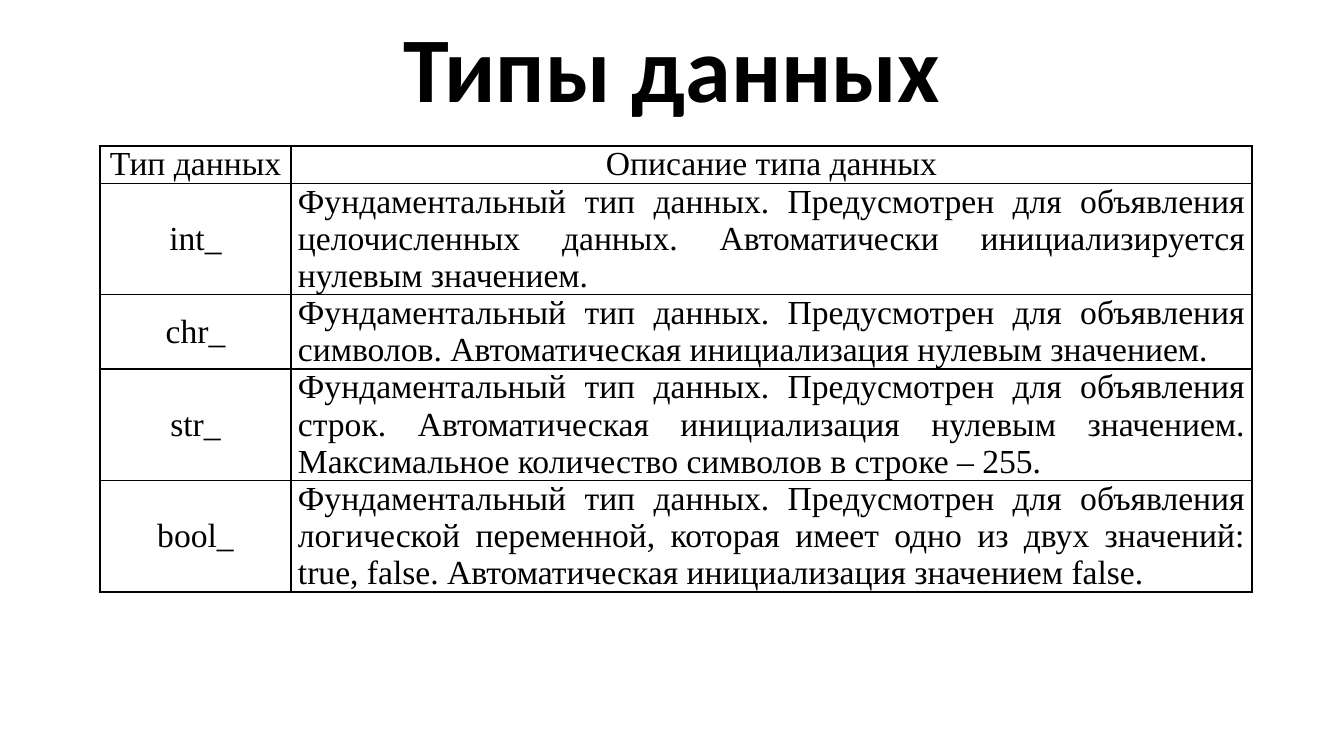
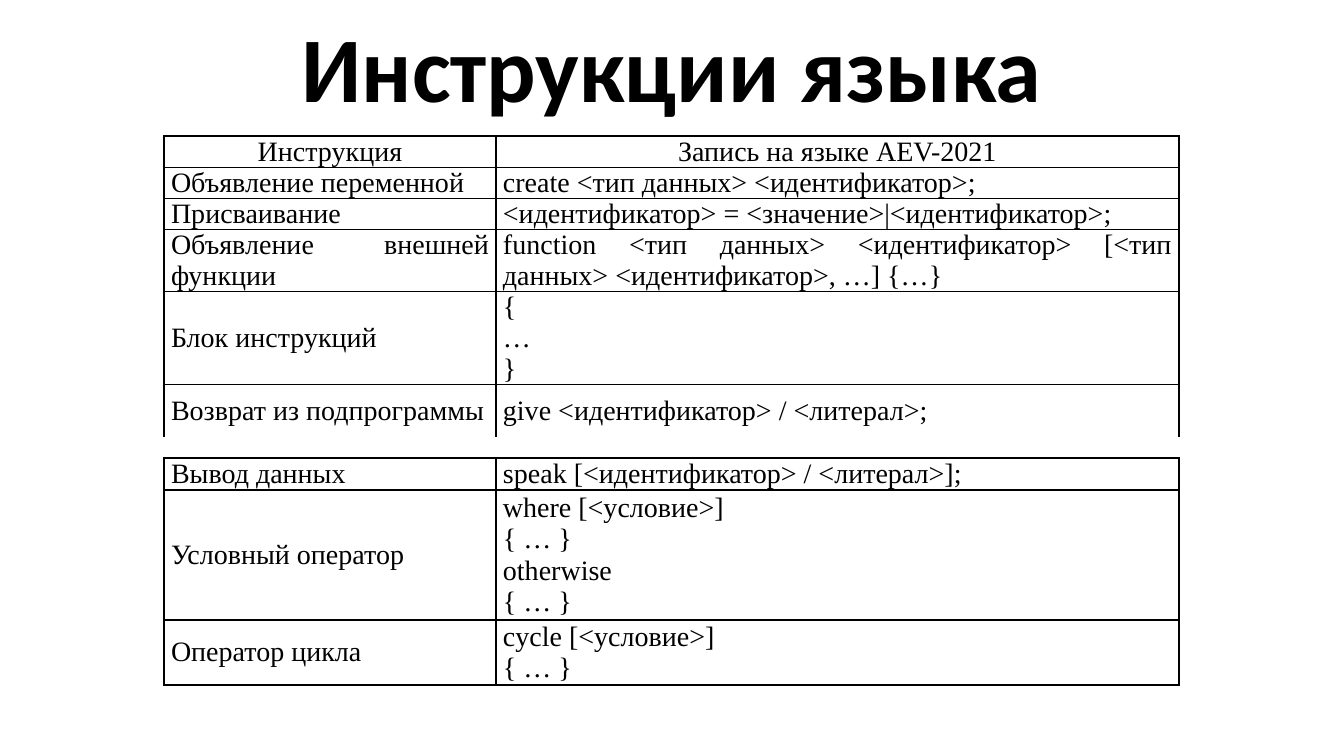
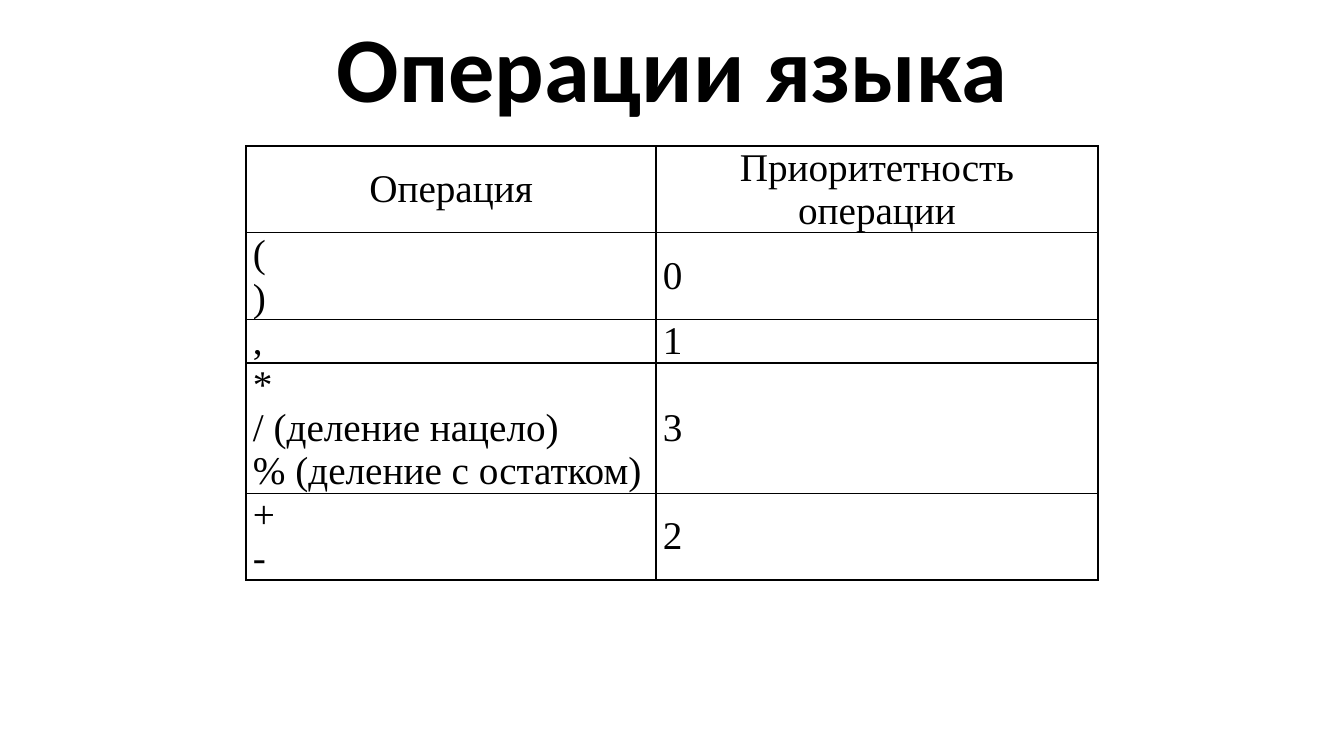
from lxml import etree
from pptx import Presentation
from pptx.dml.color import RGBColor
from pptx.enum import text
from pptx.oxml.ns import qn
from pptx.util import Emu, Pt

PX = 914400 / 100.8
PAGE_SIZE = (1344, 756)
TITLE_AREA = (92, 0, 1160, 146)
CELL_MARGIN = 7
BORDER_PT = 1
COLORS = {"ink": "000000"}
FONTS = {"title": "Calibri", "table": "Times New Roman"}
CENTER, JUSTIFY = text.PP_ALIGN.CENTER, text.PP_ALIGN.JUSTIFY

# Content: each row is (height, left cell, right cell); "\n" starts a paragraph
PAGES = [
    {
        "title": "Типы данных",
        "tables": [{
            "at": (100, 146), "columns": (191, 961), "size": 24,
            "header": True, "align": (CENTER, JUSTIFY),
            "rows": [
                (37, "Тип данных", "Описание типа данных"),
                (111, "int_", "Фундаментальный тип данных. Предусмотрен для объявления "
                 "целочисленных данных. Автоматически инициализируется нулевым значением."),
                (74, "chr_", "Фундаментальный тип данных. Предусмотрен для объявления "
                 "символов. Автоматическая инициализация нулевым значением."),
                (111, "str_", "Фундаментальный тип данных. Предусмотрен для объявления "
                 "строк. Автоматическая инициализация нулевым значением. "
                 "Максимальное количество символов в строке – 255."),
                (111, "bool_", "Фундаментальный тип данных. Предусмотрен для объявления "
                 "логической переменной, которая имеет одно из двух значений: "
                 "true, false. Автоматическая инициализация значением false."),
            ],
        }],
    },
    {
        "title": "Инструкции языка",
        "tables": [
            {
                "at": (164, 458), "columns": (332, 683), "size": 20,
                "rows": [
                    (32, "Вывод данных", "speak [<идентификатор> / <литерал>];"),
                    (130, "Условный оператор",
                     "where [<условие>]\n{ … }\notherwise\n{ … }"),
                    (65, "Оператор цикла", "cycle [<условие>]\n{ … }"),
                ],
            },
            {
                "at": (164, 136), "columns": (332, 683), "size": 20,
                "header": True, "open_bottom": True,
                "rows": [
                    (31, "Инструкция", "Запись на языке AEV-2021"),
                    (31, "Объявление переменной", "create <тип данных> <идентификатор>;"),
                    (31, "Присваивание", "<идентификатор> = <значение>|<идентификатор>;"),
                    (62, "Объявление внешней функции",
                     "function <тип данных> <идентификатор> "
                     "[<тип данных> <идентификатор>, …] {…}"),
                    (93, "Блок инструкций", "{\n…\n}"),
                    (52, "Возврат из подпрограммы", "give <идентификатор> / <литерал>;"),
                ],
            },
        ],
    },
    {
        "title": "Операции языка",
        "tables": [{
            "at": (246, 146), "columns": (410, 442), "size": 28, "header": True,
            "rows": [
                (86, "Операция", "Приоритетность операции"),
                (86, "(\n)", "0"),
                (43, ",", "1"),
                (130, "*\n/ (деление нацело)\n% (деление с остатком)", "3"),
                (86, "+\n-", "2"),
            ],
        }],
    },
]


def px(length):
    return Emu(round(length * PX))


def style_paragraph(para, font, size, align, bold=False):
    para.alignment = align
    para.font.name = FONTS[font]
    para.font.size = Pt(size)
    para.font.bold = bold
    para.font.color.rgb = RGBColor.from_string(COLORS["ink"])


def add_title(page, wording):
    title = page.shapes.title
    title.left, title.top, title.width, title.height = map(px, TITLE_AREA)
    frame = title.text_frame
    frame.text = wording
    frame.auto_size = text.MSO_AUTO_SIZE.NONE
    frame.vertical_anchor = text.MSO_ANCHOR.MIDDLE
    para = frame.paragraphs[0]
    para.line_spacing = 0.9
    style_paragraph(para, "title", 66, CENTER, bold=True)


def add_borders(cell, open_bottom):
    properties = cell._tc.get_or_add_tcPr()
    for side in ("lnL", "lnR", "lnT", "lnB"):
        line = etree.SubElement(properties, qn(f"a:{side}"), w=str(Pt(BORDER_PT)))
        if open_bottom and side == "lnB":
            etree.SubElement(line, qn("a:noFill"))
        else:
            fill = etree.SubElement(line, qn("a:solidFill"))
            etree.SubElement(fill, qn("a:srgbClr"), val=COLORS["ink"])


def fill_cell(cell, wording, size, align, open_bottom):
    cell.text = wording
    cell.vertical_anchor = text.MSO_ANCHOR.MIDDLE
    cell.margin_left = cell.margin_right = px(CELL_MARGIN)
    cell.margin_top = cell.margin_bottom = 0
    for para in cell.text_frame.paragraphs:
        style_paragraph(para, "table", size, align)
    add_borders(cell, open_bottom)
    cell.fill.background()


def add_grid(page, data):
    rows, columns = data["rows"], data["columns"]
    left, top = data["at"]
    height = sum(row[0] for row in rows)
    table = page.shapes.add_table(len(rows), len(columns), px(left), px(top),
                                  px(sum(columns)), px(height)).table
    table.first_row = table.horz_banding = False
    for column, width in zip(table.columns, columns):
        column.width = px(width)
    body_align = data.get("align", (JUSTIFY, JUSTIFY))
    for r, (row_height, *wordings) in enumerate(rows):
        table.rows[r].height = px(row_height)
        is_header = r == 0 and data.get("header", False)
        is_open = r == len(rows) - 1 and data.get("open_bottom", False)
        for c, wording in enumerate(wordings):
            align = CENTER if is_header else body_align[c]
            fill_cell(table.cell(r, c), wording, data["size"], align, is_open)


def main():
    deck = Presentation()
    deck.slide_width, deck.slide_height = map(px, PAGE_SIZE)
    title_only = deck.slide_layouts[5]
    for content in PAGES:
        page = deck.slides.add_slide(title_only)
        add_title(page, content["title"])
        for data in content["tables"]:
            add_grid(page, data)
    deck.save("out.pptx")


if __name__ == "__main__":
    main()
